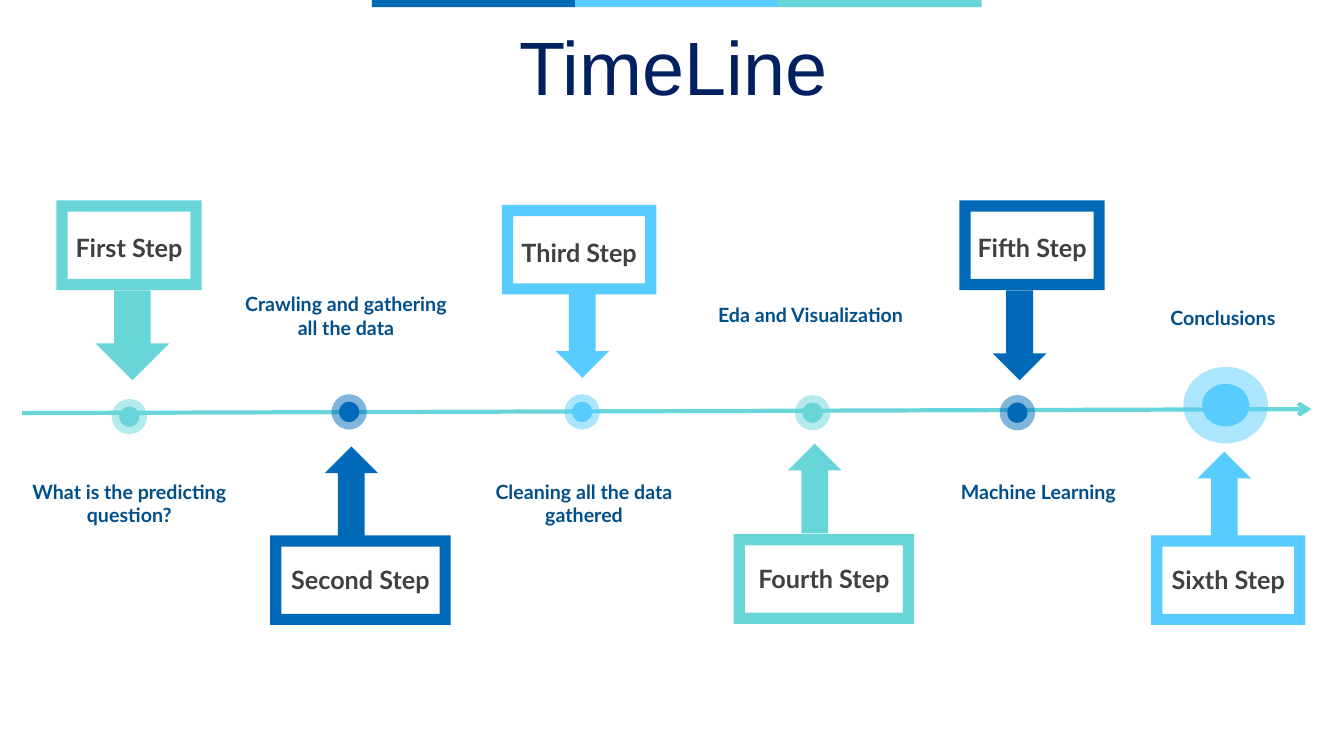
from dataclasses import dataclass

from lxml.etree import SubElement
from pptx import Presentation
from pptx.dml.color import RGBColor
from pptx.enum.shapes import MSO_CONNECTOR, MSO_SHAPE
from pptx.enum.text import MSO_ANCHOR, MSO_AUTO_SIZE, PP_ALIGN
from pptx.oxml.ns import qn
from pptx.util import Cm, Pt


@dataclass(frozen=True)
class Theme:
    teal: str = "68D6D8"
    blue: str = "006AB8"
    sky: str = "58CCFE"
    navy: str = "002060"
    ink: str = "404040"
    note: str = "004F8A"
    head_font: str = "Arial"
    font: str = "Lato"
    head_size: int = 54
    step_size: int = 18
    note_size: int = 14


@dataclass
class Step:
    name: str
    color: str
    down: bool
    box: tuple      # left, top, width
    arrow: tuple    # left, top, width
    note: str
    place: tuple    # left, top, height of the note
    dot: tuple      # centre of the marker
    rings: tuple = ((0.89, 0.89), (0.51, 0.51))


def write(frame, text, *, size, color, font, bold=False, space=None,
          anchor=MSO_ANCHOR.TOP, inset=None, fit=MSO_AUTO_SIZE.NONE):
    frame.word_wrap = True
    frame.auto_size = fit
    frame.vertical_anchor = anchor
    if inset is not None:
        frame.margin_left = frame.margin_right = Cm(inset)
        frame.margin_top = frame.margin_bottom = Cm(inset)
    frame.text = text
    para = frame.paragraphs[0]
    para.alignment = PP_ALIGN.CENTER
    para.space_before = Pt(0)
    para.line_spacing = space
    style = para.runs[0].font
    style.name, style.size, style.bold = font, Pt(size), bold
    style.color.rgb = RGBColor.from_string(color)


class Board:
    def __init__(self, slide, theme):
        self.slide, self.theme = slide, theme

    def title(self, text, *area):
        head = self.slide.shapes.title
        head.left, head.top, head.width, head.height = map(Cm, area)
        t = self.theme
        write(head.text_frame, text, size=t.head_size, color=t.navy,
              font=t.head_font, space=0.9, anchor=MSO_ANCHOR.MIDDLE)

    def shape(self, kind, area, color, turn=0, alpha=None):
        item = self.slide.shapes.add_shape(kind, *map(Cm, area))
        item.shadow.inherit = False
        item.rotation = turn
        item.fill.solid()
        item.fill.fore_color.rgb = RGBColor.from_string(color)
        item.line.fill.background()
        if alpha is not None:
            tint = item.element.spPr.find(".//" + qn("a:srgbClr"))
            SubElement(tint, qn("a:alpha"), val=str(alpha * 1000))

    def text(self, text, area, **style):
        item = self.slide.shapes.add_textbox(*map(Cm, area))
        write(item.text_frame, text, font=self.theme.font, bold=True, **style)

    def axis(self, start, end, color):
        line = self.slide.shapes.add_connector(
            MSO_CONNECTOR.STRAIGHT, *map(Cm, start + end))
        line.line.color.rgb = RGBColor.from_string(color)
        line.line.width = Pt(3)
        props = line.element.spPr
        SubElement(props.find(qn("a:ln")), qn("a:tailEnd"), type="arrow")
        SubElement(props, qn("a:effectLst"))

    def sign(self, step):
        high = 2.26
        turn = 180 if step.down else 0
        left, top, width = step.box
        self.shape(MSO_SHAPE.FRAME, (*step.box, high), step.color, turn)
        self.shape(MSO_SHAPE.UP_ARROW, (*step.arrow, high), step.color, turn)
        shift = 0.56 if step.down else 0.48
        self.text(step.name, (left + 0.2, top + shift, width - 0.4, 1.27),
                  size=self.theme.step_size, color=self.theme.ink,
                  anchor=MSO_ANCHOR.MIDDLE, inset=0)

    def note(self, step):
        left, top, high = step.place
        self.text(step.note, (left, top, 5.66, high),
                  size=self.theme.note_size, color=self.theme.note,
                  fit=MSO_AUTO_SIZE.SHAPE_TO_FIT_TEXT)

    def dot(self, step):
        mid_x, mid_y = step.dot
        for (wide, high), alpha in zip(step.rings, (50, None)):
            area = (mid_x - wide / 2, mid_y - high / 2, wide, high)
            self.shape(MSO_SHAPE.OVAL, area, step.color, alpha=alpha)


def main():
    deck = Presentation()
    deck.slide_width, deck.slide_height = Cm(33.87), Cm(19.05)
    theme = Theme()
    board = Board(deck.slides.add_slide(deck.slide_layouts[5]), theme)
    teal, blue, sky = theme.teal, theme.blue, theme.sky

    # Title and top band
    board.title("TimeLine", 0.89, 0.79, 32.16, 2.01)
    for i, color in enumerate((blue, sky, teal)):
        board.shape(MSO_SHAPE.RECTANGLE, (9.37 + 5.12 * i, 0, 5.13, 0.18), color)

    # Time axis
    board.axis((0.56, 10.41), (33.05, 10.31), teal)

    # Steps along the axis
    steps = (
        Step("First Step", teal, True, (1.42, 5.05, 3.66), (2.41, 7.32, 1.85),
             "What is the predicting question?", (0.43, 11.96, 1.45),
             (3.26, 10.5)),
        Step("Second Step", blue, False, (6.81, 13.49, 4.55),
             (8.18, 11.25, 1.35), "Crawling and gathering all the data",
             (5.89, 7.24, 2.06), (8.8, 10.38)),
        Step("Third Step", sky, True, (12.65, 5.16, 3.89), (14, 7.26, 1.35),
             "Cleaning all the data gathered", (11.89, 11.96, 1.45),
             (14.67, 10.38)),
        Step("Fourth Step", teal, False, (18.49, 13.46, 4.55),
             (19.86, 11.18, 1.35), "Eda and Visualization",
             (17.6, 7.52, 1.45), (20.48, 10.4)),
        Step("Fifth Step", blue, True, (24.18, 5.05, 3.66),
             (25.02, 7.32, 1.35), "Machine Learning", (23.34, 11.96, 0.86),
             (25.64, 10.4)),
        Step("Sixth Step", sky, False, (29.01, 13.49, 3.89),
             (30.18, 11.38, 1.35), "Conclusions", (27.99, 7.59, 0.86),
             (30.89, 10.21), ((2.13, 1.93), (1.19, 1.07))),
    )
    for step in steps:
        board.sign(step)
        board.note(step)
        board.dot(step)

    deck.save("out.pptx")


if __name__ == "__main__":
    main()
